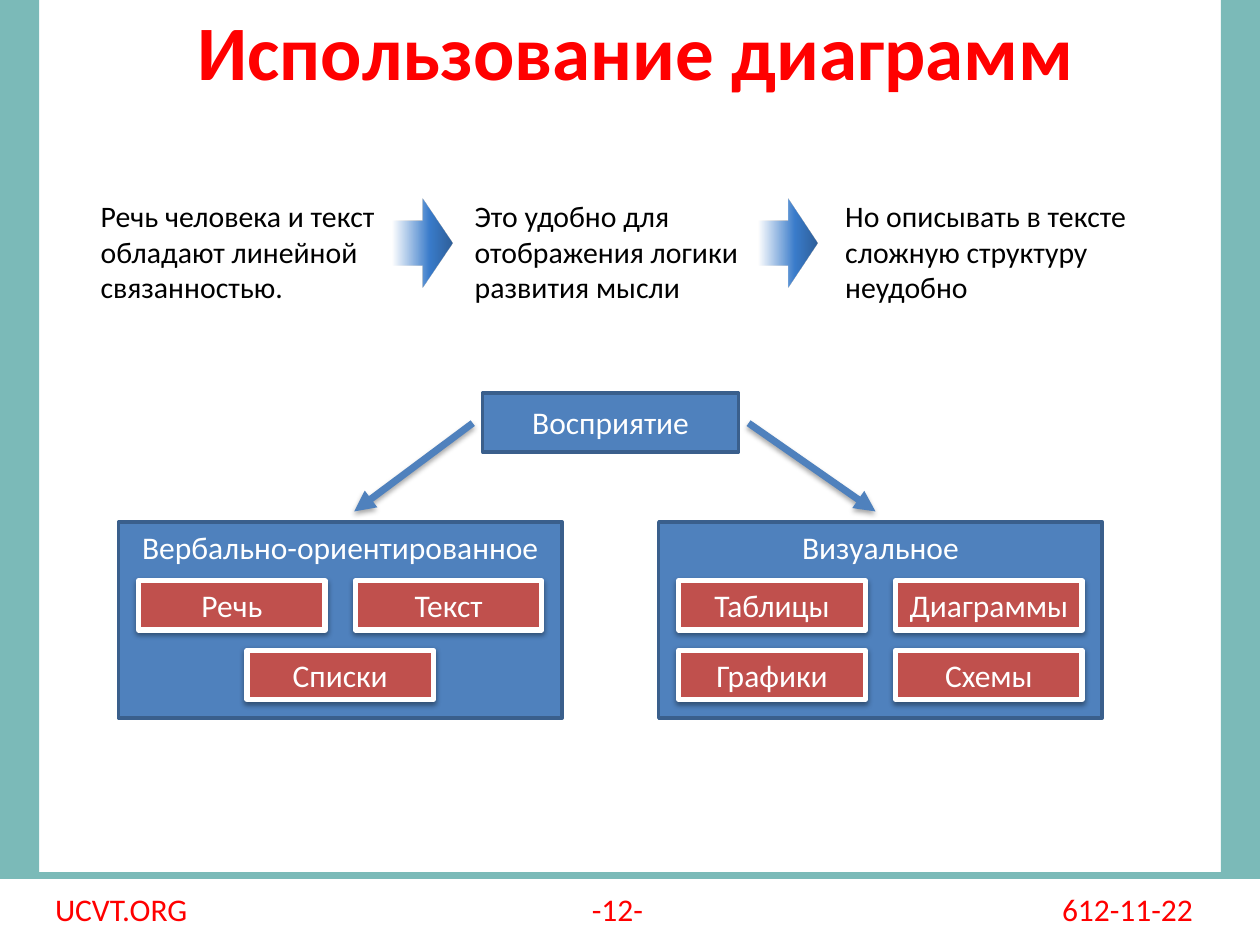
from dataclasses import dataclass

import pptx
import pptx.dml.color
import pptx.enum.shapes
import pptx.enum.text
import pptx.oxml
import pptx.oxml.ns
import pptx.util

Cm, Pt = pptx.util.Cm, pptx.util.Pt
KIND = pptx.enum.shapes.MSO_SHAPE
SIDE = pptx.enum.text.PP_ALIGN
ANCHOR = pptx.enum.text.MSO_ANCHOR
SPACE = pptx.oxml.ns.nsdecls("a")


@dataclass(frozen=True)
class Theme:
    font: str = "Calibri"
    teal: str = "7BBAB8"
    white: str = "FFFFFF"
    black: str = "000000"
    red: str = "FF0000"
    blue: str = "4F81BD"
    navy: str = "3A5F8C"
    brick: str = "C0504D"
    dark: str = "2F5F99"
    bright: str = "3A7CCB"
    title: float = 44
    label: float = 18
    body: float = 17


@dataclass(frozen=True)
class Box:
    left: float
    top: float
    width: float
    height: float

    def place(self) -> list:
        return [Cm(v) for v in (self.left, self.top, self.width, self.height)]


@dataclass(frozen=True)
class Panel:
    title: str
    left: float
    rows: tuple


@dataclass(frozen=True)
class Look:
    fill: str
    edge: str = ""
    width: float = 0
    shade: bool = False


THEME = Theme()
BARE = Look(THEME.white)
TEAL = Look(THEME.teal)
FRAME = Look(THEME.blue, THEME.navy, 2)
CHIP = Look(THEME.brick, THEME.white, 3, True)

WIDE, HIGH = 25.4, 19.05
PANEL_TOP, PANEL_WIDE, PANEL_HIGH = 10.52, 8.94, 3.96
CHIP_WIDE, CHIP_HIGH = 3.76, 0.99
CHIP_TOP, STEP_X, STEP_Y = 11.71, 4.37, 1.4

PANELS = (
    Panel("Вербально-ориентированное", 2.39, (("Речь", "Текст"), ("Списки",))),
    Panel("Визуальное", 13.28, (("Таблицы", "Диаграммы"), ("Графики", "Схемы"))),
)
NOTES = (
    ("Речь человека и текст обладают линейной связанностью.", Box(1.78, 3.86, 7.06, 3.07)),
    ("Это удобно для отображения логики развития мысли", Box(9.32, 3.86, 7.06, 2.67)),
    ("Но описывать в тексте сложную структуру неудобно", Box(16.79, 3.86, 7.44, 2.49)),
)
ARROWS = (7.92, 15.29)
LINKS = ((9.53, 7.14), (15.09, 17.65))


def paint(item, values: dict) -> None:
    for name, value in values.items():
        setattr(item, name, value)


def tint(code: str) -> pptx.dml.color.RGBColor:
    return pptx.dml.color.RGBColor.from_string(code)


def shade(alpha: int, dist: float):
    """Soft shadow straight below; alpha in percent, distance in points."""
    return pptx.oxml.parse_xml(
        f'<a:outerShdw {SPACE} blurRad="{Pt(3.1)}" dist="{Pt(dist)}" dir="5400000" rotWithShape="0">'
        f'<a:srgbClr val="{THEME.black}"><a:alpha val="{alpha * 1000}"/></a:srgbClr></a:outerShdw>'
    )


def write(shape, text: str, size: float, color: str, align=SIDE.CENTER,
          anchor=ANCHOR.MIDDLE, bold: bool = False, tabs: tuple = ()) -> None:
    frame = shape.text_frame
    paint(frame, {"word_wrap": True, "vertical_anchor": anchor})
    line = frame.paragraphs[0]
    if tabs:
        stops = "".join(f'<a:tab pos="{Cm(t)}" algn="l"/>' for t in tabs)
        line._p.get_or_add_pPr().append(
            pptx.oxml.parse_xml(f"<a:tabLst {SPACE}>{stops}</a:tabLst>"))
    line.alignment = align
    run = line.add_run()
    run.text = text
    paint(run.font, {"name": THEME.font, "size": Pt(size), "bold": bold})
    run.font.color.rgb = tint(color)


def block(slide, box: Box, look: Look, kind=KIND.RECTANGLE):
    shape = slide.shapes.add_shape(kind, *box.place())
    shape.shadow.inherit = False
    shape.fill.solid()
    shape.fill.fore_color.rgb = tint(look.fill)
    if look.edge:
        shape.line.color.rgb = tint(look.edge)
        shape.line.width = Pt(look.width)
    else:
        shape.line.fill.background()
    if look.shade:
        shape._element.spPr.find(pptx.oxml.ns.qn("a:effectLst")).append(shade(38, 1.6))
    return shape


def label(slide, box: Box, text: str, look: Look, anchor=ANCHOR.MIDDLE) -> None:
    write(block(slide, box, look), text, THEME.label, THEME.white, anchor=anchor)


def note(slide, box: Box, text: str, *style, **more) -> None:
    write(slide.shapes.add_textbox(*box.place()), text, *style, **more)


def join(slide, start: tuple, end: tuple, color: str, width: float):
    line = slide.shapes.add_connector(
        pptx.enum.shapes.MSO_CONNECTOR.STRAIGHT, *(Cm(v) for v in start + end))
    line.line.color.rgb = tint(color)
    line.line.width = Pt(width)
    glow = pptx.oxml.parse_xml(f"<a:effectLst {SPACE}/>")
    line._element.spPr.append(glow)
    return line, glow


def link(slide, start: tuple, end: tuple) -> None:
    """Shadowed line with an arrowhead at its end."""
    line, glow = join(slide, start, end, THEME.blue, 4)
    line.line._get_or_add_ln().append(
        pptx.oxml.parse_xml(f'<a:tailEnd {SPACE} type="triangle"/>'))
    glow.append(shade(35, 1.8))


def fade(slide, left: float) -> None:
    """Block arrow that fades out to the left."""
    shape = block(slide, Box(left, 4.01, 1.19, 1.78), TEAL, KIND.RIGHT_ARROW)
    stops = ((0, THEME.dark, 100), (38, THEME.bright, 100), (100, THEME.bright, 0))
    marks = "".join(
        f'<a:gs pos="{at * 1000}"><a:srgbClr val="{code}">'
        f'<a:alpha val="{alpha * 1000}"/></a:srgbClr></a:gs>'
        for at, code, alpha in stops)
    props = shape._element.spPr
    props.replace(props.find(pptx.oxml.ns.qn("a:solidFill")), pptx.oxml.parse_xml(
        f'<a:gradFill {SPACE} rotWithShape="1"><a:gsLst>{marks}</a:gsLst>'
        f'<a:lin ang="10800000" scaled="0"/></a:gradFill>'))


def group(slide, panel: Panel) -> None:
    """Panel with rows of chips, each row centred."""
    label(slide, Box(panel.left, PANEL_TOP, PANEL_WIDE, PANEL_HIGH),
          panel.title, FRAME, ANCHOR.TOP)
    for r, row in enumerate(panel.rows):
        span = CHIP_WIDE + STEP_X * (len(row) - 1)
        left = panel.left + (PANEL_WIDE - span) / 2
        for c, text in enumerate(row):
            label(slide, Box(left + c * STEP_X, CHIP_TOP + r * STEP_Y,
                             CHIP_WIDE, CHIP_HIGH), text, CHIP)


def trim(slide) -> None:
    """Side bars and footer."""
    for left in (0, WIDE - 0.79):
        block(slide, Box(left, 0, 0.79, HIGH), TEAL)
    foot = block(slide, Box(0, 17.58, WIDE, 1.47), BARE)
    foot.text_frame.margin_left = Cm(1.11)
    write(foot, "UCVT.ORG\t-12-\t612-11-22", THEME.label, THEME.red,
          align=SIDE.LEFT, tabs=(10.82, 20.3))
    join(slide, (0, 17.65), (WIDE, 17.65), THEME.teal, 4.5)


def main() -> None:
    deck = pptx.Presentation()
    paint(deck, {"slide_width": Cm(WIDE), "slide_height": Cm(HIGH)})
    slide = deck.slides.add_slide(deck.slide_layouts[6])
    trim(slide)
    note(slide, Box(1.4, -0.58, 22.86, 3.18), "Использование диаграмм",
         THEME.title, THEME.red, bold=True)
    for text, box in NOTES:
        note(slide, box, text, THEME.body, THEME.black, align=SIDE.LEFT, anchor=ANCHOR.TOP)
    for left in ARROWS:
        fade(slide, left)
    label(slide, Box(9.73, 7.92, 5.16, 1.19), "Восприятие", FRAME)
    for panel in PANELS:
        group(slide, panel)
    for start, end in LINKS:
        link(slide, (start, 8.53), (end, 10.31))
    deck.save("out.pptx")


if __name__ == "__main__":
    main()
